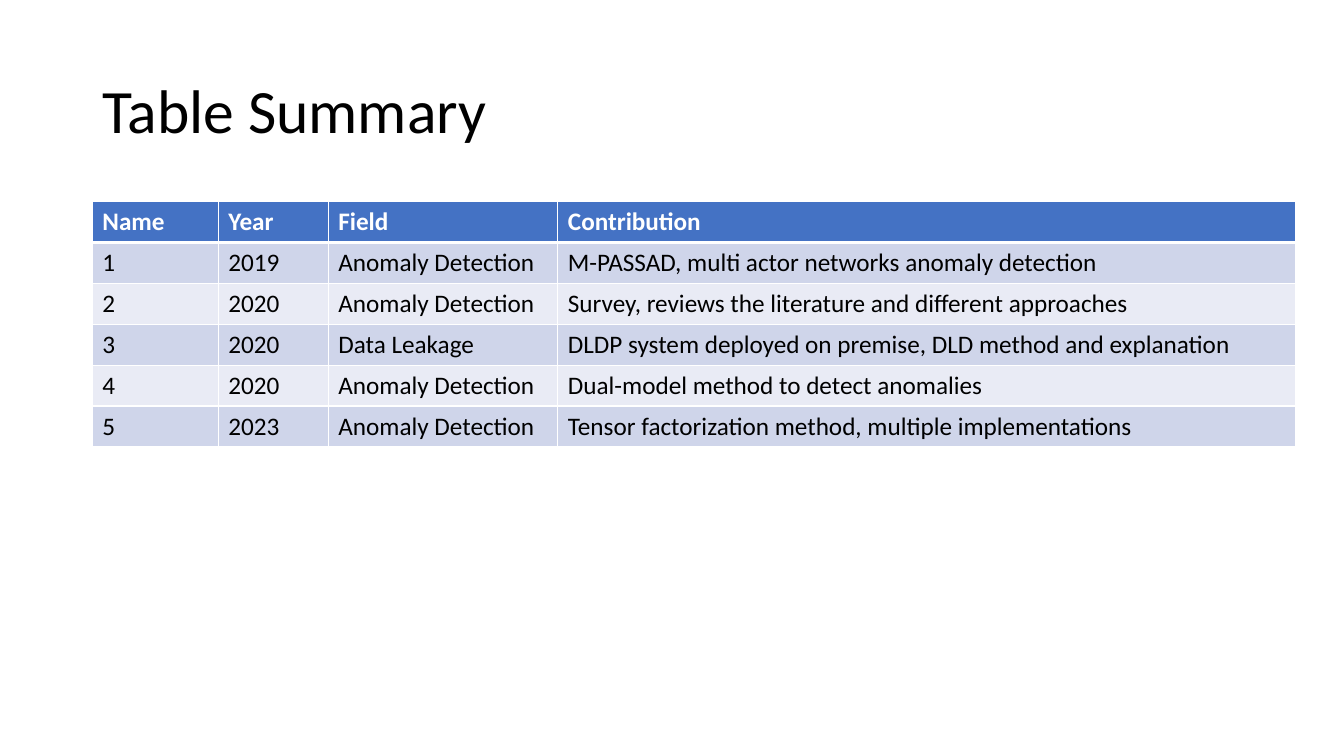
from lxml import etree
from pptx import Presentation
from pptx import util as u
from pptx.dml import color
from pptx.enum import text
from pptx.oxml import ns

Pt = u.Pt


def rgb(hex_code):
    return color.RGBColor.from_string(hex_code)


def write(frame, words, *, size=18, hue="000000", bold=False, font="Calibri", spacing=1.0):
    """Put one left-aligned, formatted line into a text frame."""
    line = frame.paragraphs[0]
    line.alignment = text.PP_ALIGN.LEFT
    line.line_spacing = spacing
    run = line.add_run()
    run.text = words
    run.font.name, run.font.size, run.font.bold = font, Pt(size), bold
    run.font.color.rgb = rgb(hue)


class SummarySlide:
    """Style of the deck together with the slide being built."""

    HEADER, BANDS, RULE = "4472C4", ("CFD5EA", "E9EBF5"), "FFFFFF"

    def __init__(self, deck):
        self.slide = deck.slides.add_slide(deck.slide_layouts[5])

    def title(self, words, left, top, width, height):
        heading = self.slide.shapes.title
        heading.left, heading.top = Pt(left), Pt(top)
        heading.width, heading.height = Pt(width), Pt(height)
        heading.text_frame.vertical_anchor = text.MSO_ANCHOR.MIDDLE
        write(heading.text_frame, words, size=44, spacing=0.9)

    def borders(self, cell, **widths):
        """Draw cell borders; widths in points, keyed by side."""
        properties = cell._tc.get_or_add_tcPr()
        for place, side in enumerate("LRTB"):
            edge = etree.Element(ns.qn(f"a:ln{side}"), w=str(Pt(widths.get(side, 1))))
            fill = etree.SubElement(edge, ns.qn("a:solidFill"))
            etree.SubElement(fill, ns.qn("a:srgbClr"), val=self.RULE)
            properties.insert(place, edge)

    def table(self, records, left, top, widths, row_height):
        grid = self.slide.shapes.add_table(
            len(records), len(widths), Pt(left), Pt(top),
            Pt(sum(widths)), Pt(row_height * len(records))).table
        for column, width in zip(grid.columns, widths):
            column.width = Pt(width)
        for r, record in enumerate(records):
            grid.rows[r].height = Pt(row_height)
            header = r == 0
            for c, words in enumerate(record):
                cell = grid.cell(r, c)
                cell.fill.solid()
                cell.fill.fore_color.rgb = rgb(self.HEADER if header else self.BANDS[(r - 1) % 2])
                # A thick rule separates the header from the records
                self.borders(cell, B=3 if header else 1, T=3 if r == 1 else 1)
                write(cell.text_frame, words, bold=header, hue="FFFFFF" if header else "000000")


PAPERS = [
    ("Name", "Year", "Field", "Contribution"),
    ("1", "2019", "Anomaly Detection", "M-PASSAD, multi actor networks anomaly detection"),
    ("2", "2020", "Anomaly Detection", "Survey, reviews the literature and different approaches"),
    ("3", "2020", "Data Leakage", "DLDP system deployed on premise, DLD method and explanation"),
    ("4", "2020", "Anomaly Detection", "Dual-model method to detect anomalies"),
    ("5", "2023", "Anomaly Detection", "Tensor factorization method, multiple implementations"),
]


def main():
    deck = Presentation()
    deck.slide_width, deck.slide_height = Pt(960), Pt(540)
    summary = SummarySlide(deck)

    # Heading
    summary.title("Table Summary", 66, 28.75, 828, 104.4)

    # Reviewed papers
    summary.table(PAPERS, 66, 144, (90, 78.5, 164, 527), 29.2)

    deck.save("out.pptx")


if __name__ == "__main__":
    main()
